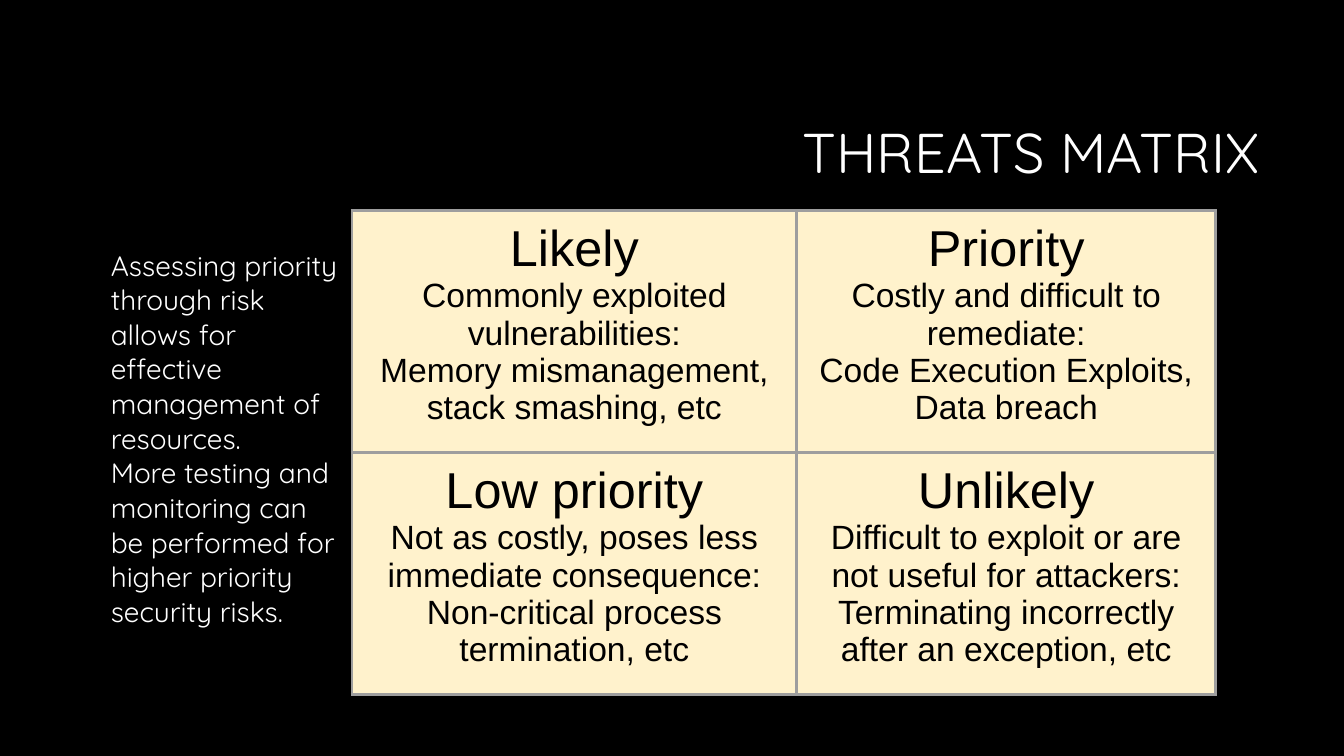
import pptx
import pptx.dml.color
import pptx.enum.text
import pptx.oxml
import pptx.oxml.ns
import pptx.util

Pt = pptx.util.Pt
ALIGN = pptx.enum.text.PP_ALIGN
ANCHOR = pptx.enum.text.MSO_ANCHOR

THREATS = [
    [
        ["Likely", "Commonly exploited vulnerabilities:",
         "Memory mismanagement, stack smashing, etc"],
        ["Priority", "Costly and difficult to remediate:",
         "Code Execution Exploits,", "Data breach"],
    ],
    [
        ["Low priority", "Not as costly, poses less immediate consequence:",
         "Non-critical process termination, etc"],
        ["Unlikely", "Difficult to exploit or are not useful for attackers:",
         "Terminating incorrectly after an exception, etc"],
    ],
]
RATIONALE = [
    "Assessing priority through risk allows for effective management of resources.",
    "More testing and monitoring can be performed for higher priority security risks.",
]


def rgb(value):
    return pptx.dml.color.RGBColor.from_string(value)


def style(paragraph, font, size, color, align, spacing=None):
    paragraph.font.name = font
    paragraph.font.size = Pt(size)
    paragraph.font.color.rgb = rgb(color)
    paragraph.alignment = align
    paragraph.line_spacing = spacing


def write_lines(frame, lines):
    frame.text = "\n".join(lines)
    return frame.paragraphs


def add_title(slide, text):
    title = slide.shapes.title
    title.left, title.top, title.width, title.height = Pt(228), Pt(60.5), Pt(678.5), Pt(101.5)
    frame = title.text_frame
    frame.vertical_anchor = ANCHOR.MIDDLE
    style(write_lines(frame, [text])[0], "Quicksand", 40, "FFFFFF", ALIGN.RIGHT, 0.9)


def add_rationale(slide, lines):
    frame = slide.shapes.add_textbox(Pt(54), Pt(173), Pt(196), Pt(317)).text_frame
    frame.word_wrap = True
    frame.margin_left = Pt(25.2)
    for paragraph in write_lines(frame, lines):
        style(paragraph, "Quicksand", 20, "FFFFFF", ALIGN.LEFT, 1.03)


def add_borders(cell, color, width):
    properties = cell._tc.get_or_add_tcPr()
    for position, side in enumerate(("lnL", "lnR", "lnT", "lnB")):
        border = pptx.oxml.parse_xml(
            f'<a:{side} {pptx.oxml.ns.nsdecls("a")} w="{Pt(width)}">'
            f'<a:solidFill><a:srgbClr val="{color}"/></a:solidFill></a:{side}>')
        properties.insert(position, border)


def fill_cell(cell, lines):
    cell.fill.solid()
    cell.fill.fore_color.rgb = rgb("FFF2CC")
    cell.margin_left = cell.margin_right = Pt(7.2)
    cell.margin_top = cell.margin_bottom = Pt(7.2)
    for index, paragraph in enumerate(write_lines(cell.text_frame, lines)):
        style(paragraph, "Arial", 24 if index else 36, "000000", ALIGN.CENTER)
    add_borders(cell, "9E9E9E", 2.2)


def add_matrix(slide, threats):
    matrix = slide.shapes.add_table(2, 2, Pt(251.5), Pt(150.5), Pt(617), Pt(278)).table
    matrix.first_row = matrix.horz_banding = False
    for column, width in zip(matrix.columns, (317.5, 299.5)):
        column.width = Pt(width)
    for row, quadrants in enumerate(threats):
        for column, lines in enumerate(quadrants):
            fill_cell(matrix.cell(row, column), lines)


def main():
    deck = pptx.Presentation()
    deck.slide_width, deck.slide_height = Pt(960), Pt(540)
    slide = deck.slides.add_slide(deck.slide_layouts[5])
    slide.background.fill.solid()
    slide.background.fill.fore_color.rgb = rgb("000000")

    # Heading and explanation
    add_title(slide, "THREATS MATRIX")
    add_rationale(slide, RATIONALE)

    # Likelihood and cost quadrants
    add_matrix(slide, THREATS)
    deck.save("out.pptx")


if __name__ == "__main__":
    main()
